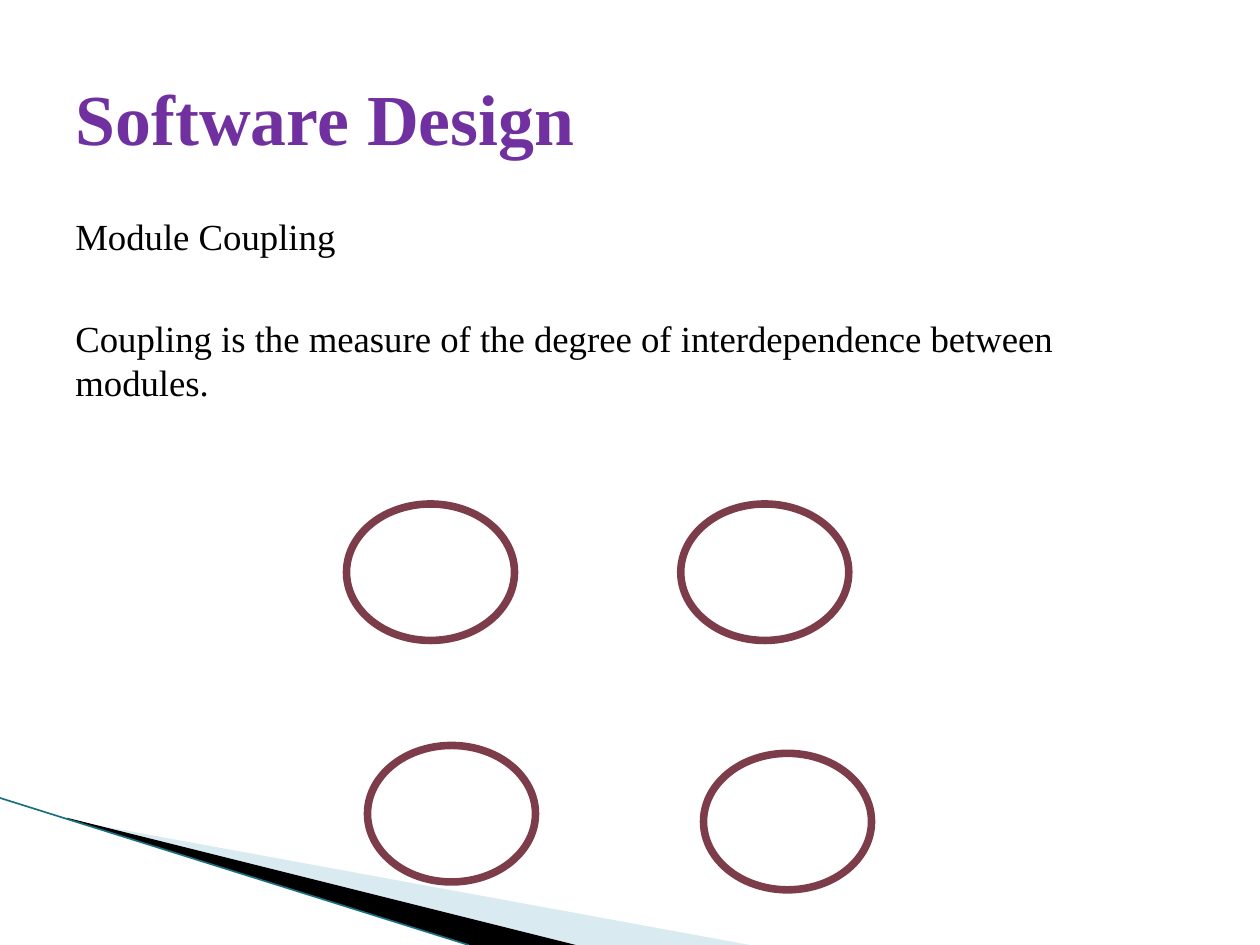
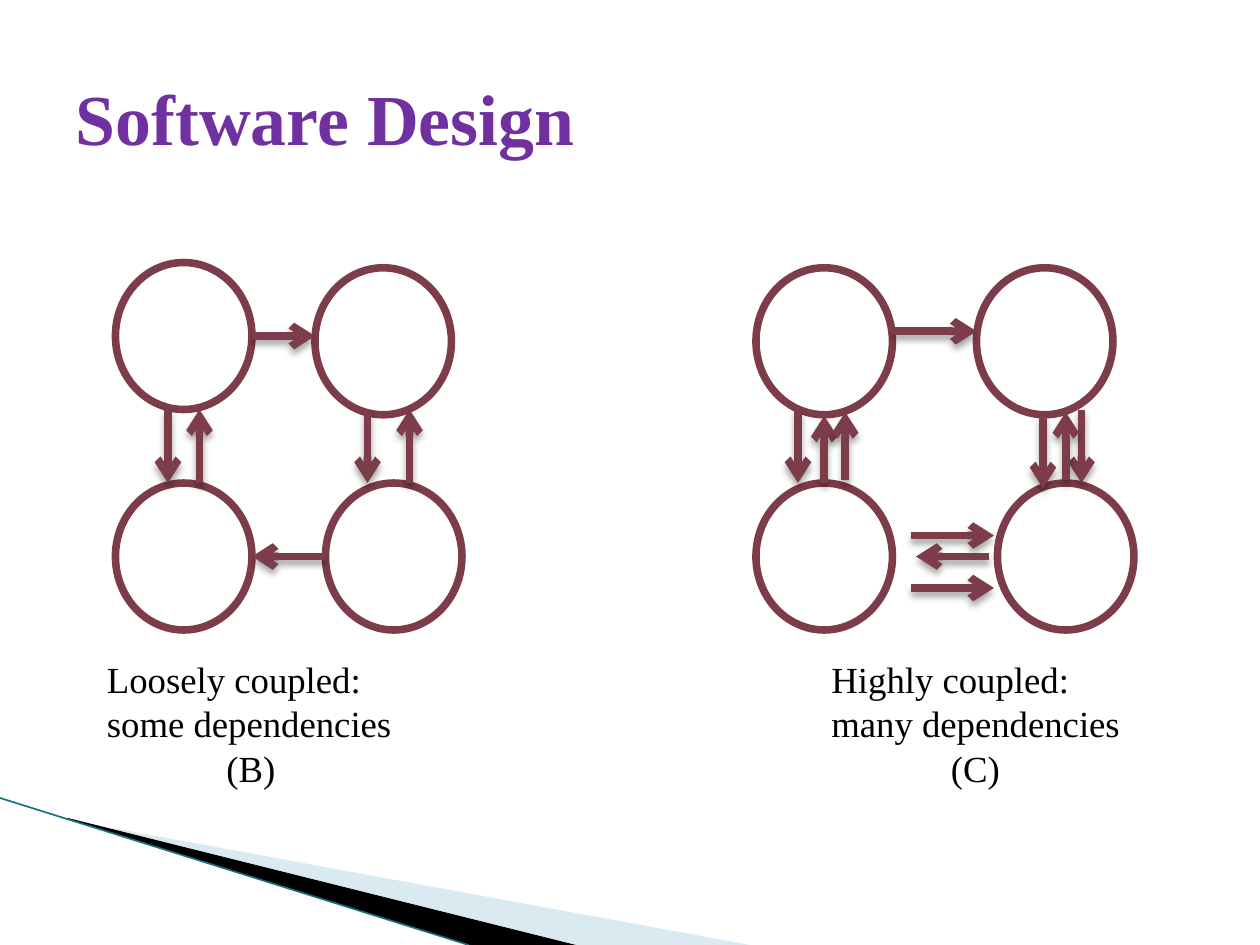
from lxml import etree
from pptx import Presentation
from pptx.dml.color import RGBColor
from pptx.enum import shapes, text
from pptx.oxml import ns
from pptx.util import Pt

PURPLE = RGBColor(0x70, 0x30, 0xA0)
MAROON = RGBColor(0x7D, 0x3C, 0x4A)
BLACK = RGBColor(0, 0, 0)
WHITE = RGBColor(255, 255, 255)
PALE_BLUE = RGBColor(0xA0, 0xCB, 0xDC)
TEAL = RGBColor(0x1B, 0x6F, 0x80)

MODULE_LINE = 4.33
TITLE_FONT = {"name": "Times New Roman", "size": Pt(41), "bold": True}
TEXT_FONT = {"name": "Times New Roman", "size": Pt(21)}
PALE_WEDGE = [(39.6, 468.7), (428.4, 540), (328.3, 540), (39.6, 468)]
BLACK_WEDGE = [(38.2, 467.3), (329, 540), (267.8, 540), (38.9, 468)]
LABEL_INDENT = 68.25


def format_object(target, values):
    for name, value in values.items():
        setattr(target, name, value)


def add_element(parent, tag, **attributes):
    return etree.SubElement(parent, ns.qn(tag), attributes)


class Deck:
    """Holds the shared style and the slide being drawn."""

    def __init__(self):
        self.presentation = Presentation()
        format_object(self.presentation, {"slide_width": Pt(720), "slide_height": Pt(540)})
        self.slide = None

    def new_slide(self, title):
        self.slide = self.presentation.slides.add_slide(self.presentation.slide_layouts[5])
        self.wedge(PALE_WEDGE, PALE_BLUE, opacity=40)
        self.wedge(BLACK_WEDGE, BLACK)
        self.line((0, 456), (267.8, 540), TEAL, 0.95)
        self.title(title)

    def title(self, wording):
        shape = self.slide.shapes.title
        format_object(shape, {"left": Pt(36), "top": Pt(21.6),
                              "width": Pt(648), "height": Pt(90)})
        shape.text_frame.vertical_anchor = text.MSO_ANCHOR.MIDDLE
        self.fill_paragraph(shape.text_frame.paragraphs[0], wording, TITLE_FONT, PURPLE)

    def fill_paragraph(self, paragraph, wording, font, color):
        paragraph.alignment = text.PP_ALIGN.LEFT
        run = paragraph.add_run()
        run.text = wording
        format_object(run.font, font)
        run.font.color.rgb = color

    def text_box(self, left, top, width, height, lines):
        """Place lines given as (wording, space before, left indent)."""
        box = self.slide.shapes.add_textbox(Pt(left), Pt(top), Pt(width), Pt(height))
        frame = box.text_frame
        frame.word_wrap = True
        for index, (wording, space, indent) in enumerate(lines):
            paragraph = frame.add_paragraph() if index else frame.paragraphs[0]
            if space:
                paragraph.space_before = Pt(space)
            if indent:
                paragraph._p.get_or_add_pPr().set("marL", str(Pt(indent)))
            self.fill_paragraph(paragraph, wording, TEXT_FONT, BLACK)

    def wedge(self, points, color, opacity=100):
        start, *others = [(Pt(x), Pt(y)) for x, y in points]
        builder = self.slide.shapes.build_freeform(*start)
        builder.add_line_segments(others)
        shape = builder.convert_to_shape()
        shape.shadow.inherit = False
        shape.fill.solid()
        shape.fill.fore_color.rgb = color
        shape.line.fill.background()
        if opacity < 100:
            fill = shape._element.spPr.find(ns.qn("a:solidFill"))
            add_element(fill[0], "a:alpha", val=str(opacity * 1000))

    def module(self, left, top, width, height):
        shape = self.slide.shapes.add_shape(
            shapes.MSO_SHAPE.OVAL, Pt(left), Pt(top), Pt(width), Pt(height))
        shape.shadow.inherit = False
        shape.fill.solid()
        shape.fill.fore_color.rgb = WHITE
        shape.line.color.rgb = MAROON
        shape.line.width = Pt(MODULE_LINE)

    def line(self, start, end, color, width):
        """Draw a plain line; return it and its empty effect list."""
        connector = self.slide.shapes.add_connector(
            shapes.MSO_CONNECTOR.STRAIGHT, *map(Pt, start + end))
        connector.line.color.rgb = color
        connector.line.width = Pt(width)
        return connector, add_element(connector._element.spPr, "a:effectLst")

    def arrow(self, start, end):
        connector, effects = self.line(start, end, MAROON, MODULE_LINE)
        outline = connector._element.spPr.find(ns.qn("a:ln"))
        add_element(outline, "a:tailEnd", type="arrow")
        shadow = add_element(effects, "a:outerShdw", blurRad=str(Pt(4)), dist=str(Pt(3)),
                             dir="5400000", rotWithShape="0")
        color = add_element(shadow, "a:srgbClr", val=str(BLACK))
        add_element(color, "a:alpha", val="35000")


def coupling_slide(deck):
    deck.new_slide("Software Design")
    deck.text_box(36, 118.6, 648, 411, [
        ("Module Coupling", 0, 0),
        ("Coupling is the measure of the degree of interdependence between modules.", 33.2, 0),
    ])
    for left, top in [(198, 288), (389, 288), (210, 426), (402, 430.5)]:
        deck.module(left, top, 96, 78)


def dependency_slide(deck):
    deck.new_slide("Software Design")
    for left, top in [(66, 150), (180, 153), (66, 276), (186, 276),
                      (432, 153), (558, 153), (432, 276), (570, 276)]:
        deck.module(left, top, 78, 84)

    across = [(144, 180, 192), (510, 558, 189.3), (520.5, 568, 336), (520.5, 568, 306),
              (186, 144, 318), (565, 523.5, 318)]
    for start, end, y in across:
        deck.arrow((start, y), (end, y))

    between_rows = [(96, 234, 276), (210, 234, 276), (114, 276, 234), (234, 276, 234),
                    (456, 234, 276), (618, 234, 276), (596, 237, 279),
                    (471, 276, 237.6), (483, 274.5, 235.5), (609, 274.5, 235.5)]
    for x, start, end in between_rows:
        deck.arrow((x, start), (x, end))

    captions = [(54, 204, "Loosely coupled:", "some dependencies", "(B)"),
                (468, 228, "Highly coupled:", "many dependencies", "(C)")]
    for left, width, name, meaning, label in captions:
        deck.text_box(left, 372, width, 83.5,
                      [(name, 0, 0), (meaning, 0, 0), (label, 0, LABEL_INDENT)])


def main():
    deck = Deck()
    coupling_slide(deck)
    dependency_slide(deck)
    deck.presentation.save("out.pptx")


if __name__ == "__main__":
    main()
